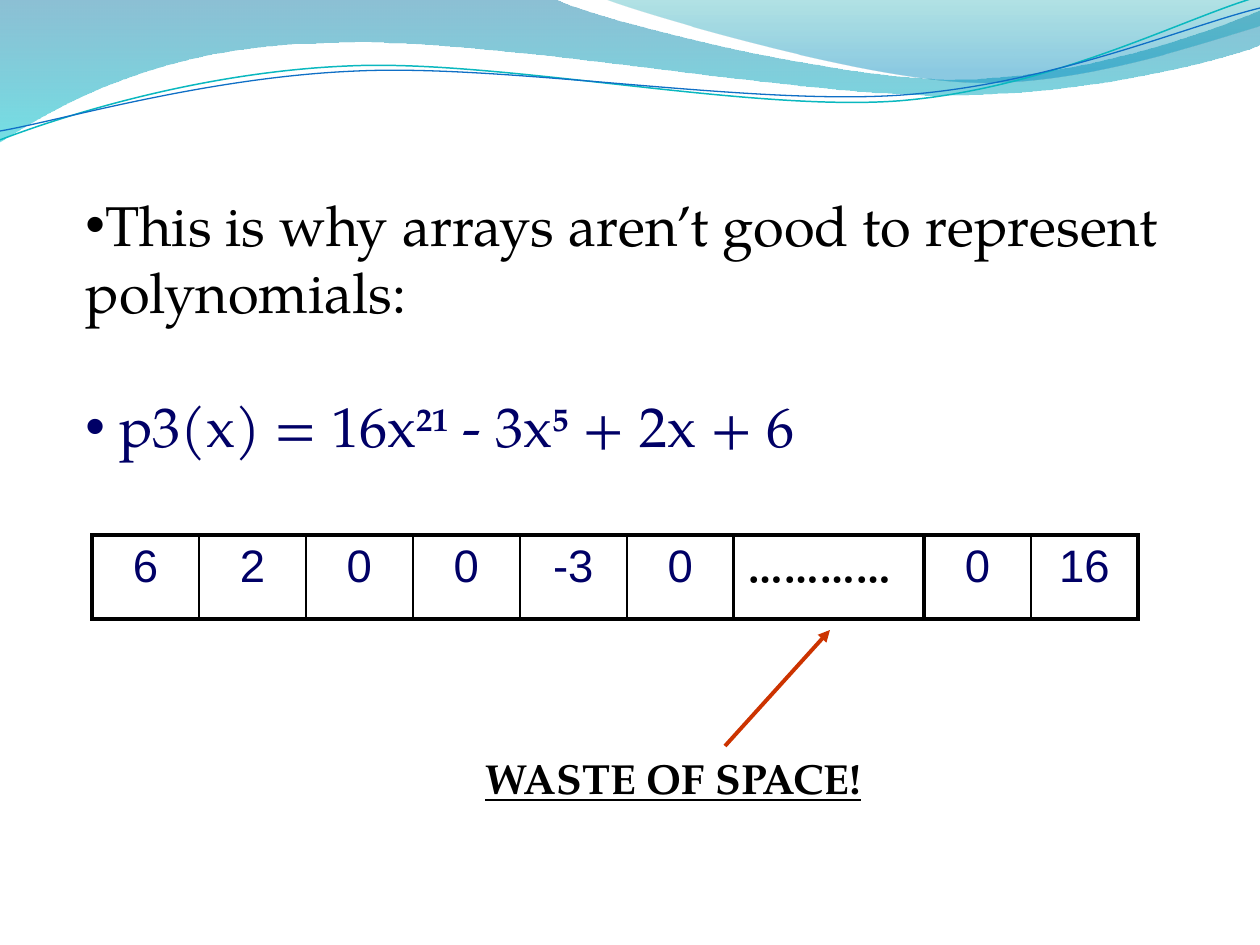
from math import cos, radians, sin

from pptx import Presentation
from pptx.dml.color import RGBColor
from pptx.enum.shapes import MSO_CONNECTOR as Connector
from pptx.enum.text import PP_ALIGN as Align
from pptx.oxml.ns import qn
from pptx.util import Pt
from lxml.etree import SubElement, Element

SCALE = 914400 / 126
SERIF = "TeX Gyre Pagella"
BLACK, NAVY, RED = "000000", "000066", "CC3300"
CELL_WIDTH, CELL_HEIGHT = 107, 84
TILT = -2.7
TILT_CENTER = (629, 73)

BROAD_WAVE = [(0, 0), (554, -1), (600, 21, 837, 79, 955, 79),
              (1075, 79, 1207, 33, 1260, 11), (1261, 45),
              (1238, 55, 1096, 96, 940, 95), (784, 95, 481, 35, 324, 43),
              (163, 45, 58, 105, -1, 142), (0, 0)]
RIGHT_WAVE = [(604, -1), (641, 14, 859, 78, 969, 82),
              (1079, 87, 1211, 40, 1260, 26), (1260, 0), (604, -1)]
TEAL_LINE = [(0, 140), (60, 117, 199, 72, 349, 66),
             (498, 59, 747, 112, 898, 101), (1050, 89, 1182, 19, 1257, -3)]
BLUE_LINE = [(0, 131), (59, 121, 207, 77, 357, 71),
             (508, 64, 752, 106, 903, 95), (1053, 84, 1186, 26, 1260, 8)]


def px(length):
    return round(length * SCALE)


def color(value):
    return RGBColor.from_string(value)


def turn(point, angle):
    x, y = (value - middle for value, middle in zip(point, TILT_CENTER))
    c, s = cos(radians(angle)), sin(radians(angle))
    return TILT_CENTER[0] + x * c - y * s, TILT_CENTER[1] + x * s + y * c


def add_outline(page, left, top, outline, tilt=0):
    knots = [turn(pair, -tilt) for segment in outline
             for pair in zip(segment[::2], segment[1::2])]
    points = [(px(left + x), px(top + y)) for x, y in knots]
    builder = page.shapes.build_freeform(*points[0], scale=1.0)
    builder.add_line_segments(points[1:], close=not tilt)
    shape = builder.convert_to_shape()
    steps = shape._element.spPr.iter(qn("a:lnTo"))
    steps = iter(list(steps))
    for segment in outline[1:]:
        step = next(steps)
        if len(segment) == 6:
            curve = Element(qn("a:cubicBezTo"))
            step.addprevious(curve)
            for control in (step, next(steps), next(steps)):
                curve.append(control[0])
                control.getparent().remove(control)
    shape.rotation = tilt
    shape.shadow.inherit = False
    return shape


def add_wave(page, left, top, outline, stops):
    shape = add_outline(page, left, top, outline)
    shape.line.fill.background()
    shape.fill.gradient()
    shape.fill.gradient_angle = 270
    for stop, (position, value, opacity) in zip(shape.fill.gradient_stops, stops):
        stop.position = position
        stop.color.rgb = color(value)
    tints = shape.fill._xPr.iter(qn("a:srgbClr"))
    for tint, (position, value, opacity) in zip(tints, stops):
        SubElement(tint, qn("a:alpha"), val=str(opacity * 1000))


def add_wave_line(page, left, top, outline, value, width):
    shape = add_outline(page, left, top, outline, TILT)
    shape.fill.background()
    shape.line.color.rgb = color(value)
    shape.line.width = Pt(width)


def add_header(page, left, top):
    add_wave(page, left, top, BROAD_WAVE, [(0, "0074A1", 45), (1, "00C6CF", 55)])
    add_wave(page, left, top, RIGHT_WAVE, [(0, "00A1A9", 30), (0.8, "008BBF", 45)])
    add_wave_line(page, left, top, TEAL_LINE, "0AB8BF", 0.85)
    add_wave_line(page, left, top, BLUE_LINE, "0F6FC6", 0.75)


def style(para, name, size, value, bold=False):
    para.font.name = name
    para.font.size = Pt(size)
    para.font.bold = bold
    para.font.color.rgb = color(value)


def add_bullet(para, spans, value):
    properties = para._p.get_or_add_pPr()
    properties.set("marL", "0")
    properties.set("indent", "0")
    SubElement(properties, qn("a:buFont"), typeface="Arial")
    SubElement(properties, qn("a:buChar"), char="•")
    style(para, SERIF, 32, value)
    for text, raised in spans:
        span = para.add_run()
        span.text = text
        if raised:
            span.font.bold = True
            span.font._element.set("baseline", "30000")


def add_body(page, left, top, width, height):
    frame = page.shapes.add_textbox(px(left), px(top), px(width), px(height)).text_frame
    frame.word_wrap = True
    add_bullet(frame.paragraphs[0],
               [("This is why arrays aren’t good to represent polynomials:", False)], BLACK)
    formula = frame.add_paragraph()
    formula.space_before = Pt(38.5)
    add_bullet(formula, [(" p3(x) = 16x", False), ("21", True), (" - 3x", False),
                         ("5", True), (" + 2x + 6", False)], NAVY)


def add_label(page, left, top, width, height, text, underline=None):
    frame = page.shapes.add_textbox(px(left), px(top), px(width), px(height)).text_frame
    frame.word_wrap = False
    para = frame.paragraphs[0]
    para.text = text
    style(para, SERIF, 24, BLACK, bold=True)
    para.font.underline = underline


def add_line(page, start, end, value, arrow=False):
    line = page.shapes.add_connector(Connector.STRAIGHT, *map(px, start + end))
    line.line.color.rgb = color(value)
    line.line.width = Pt(2.25)
    if arrow:
        SubElement(line.line._get_or_add_ln(), qn("a:tailEnd"), type="triangle")
    SubElement(line._element.spPr, qn("a:effectLst"))


def set_borders(cell, widths):
    properties = cell._tc.get_or_add_tcPr()
    for index, (side, width) in enumerate(widths.items()):
        border = Element(qn(f"a:ln{side}"), w=str(Pt(width)))
        fill = SubElement(border, qn("a:solidFill"))
        SubElement(fill, qn("a:srgbClr"), val=BLACK)
        properties.insert(index, border)


def add_array(page, left, top, values):
    count = len(values)
    frame = page.shapes.add_table(1, count, px(left), px(top),
                                  px(CELL_WIDTH * count), px(CELL_HEIGHT))
    table = frame.table
    table.first_row = table.horz_banding = False
    for index, value in enumerate(values):
        table.columns[index].width = px(CELL_WIDTH)
        cell = table.cell(0, index)
        cell.fill.background()
        set_borders(cell, {"L": 2.25 if index == 0 else 1,
                           "R": 2.25 if index == count - 1 else 1,
                           "T": 2.25, "B": 2.25})
        para = cell.text_frame.paragraphs[0]
        para.text = value
        para.alignment = Align.CENTER
        style(para, "Arial", 26, NAVY)


def add_sparse_array(page, left, top):
    head = ["6", "2", "0", "0", "-3", "0"]
    gap_left = left + CELL_WIDTH * len(head) + 1
    gap_right = gap_left + 189
    add_array(page, left, top, head)
    add_array(page, gap_right, top, ["0", "16"])
    for y in (top + CELL_HEIGHT, top):
        add_line(page, (gap_left, y), (gap_right, y), BLACK)
    add_label(page, gap_left, top, 193, 63, "…………")


def add_callout(page, left, top):
    add_line(page, (left + 252, top), (left + 357, top - 116), RED, arrow=True)
    add_label(page, left, top, 417, 63, "WASTE OF SPACE!", underline=True)


def main():
    deck = Presentation()
    deck.slide_width, deck.slide_height = px(1260), px(945)
    page = deck.slides.add_slide(deck.slide_layouts[6])
    add_header(page, 0, 0)
    add_body(page, 73, 184, 1155, 281)
    add_sparse_array(page, 92, 535)
    add_callout(page, 473, 746)
    deck.save("out.pptx")


if __name__ == "__main__":
    main()
